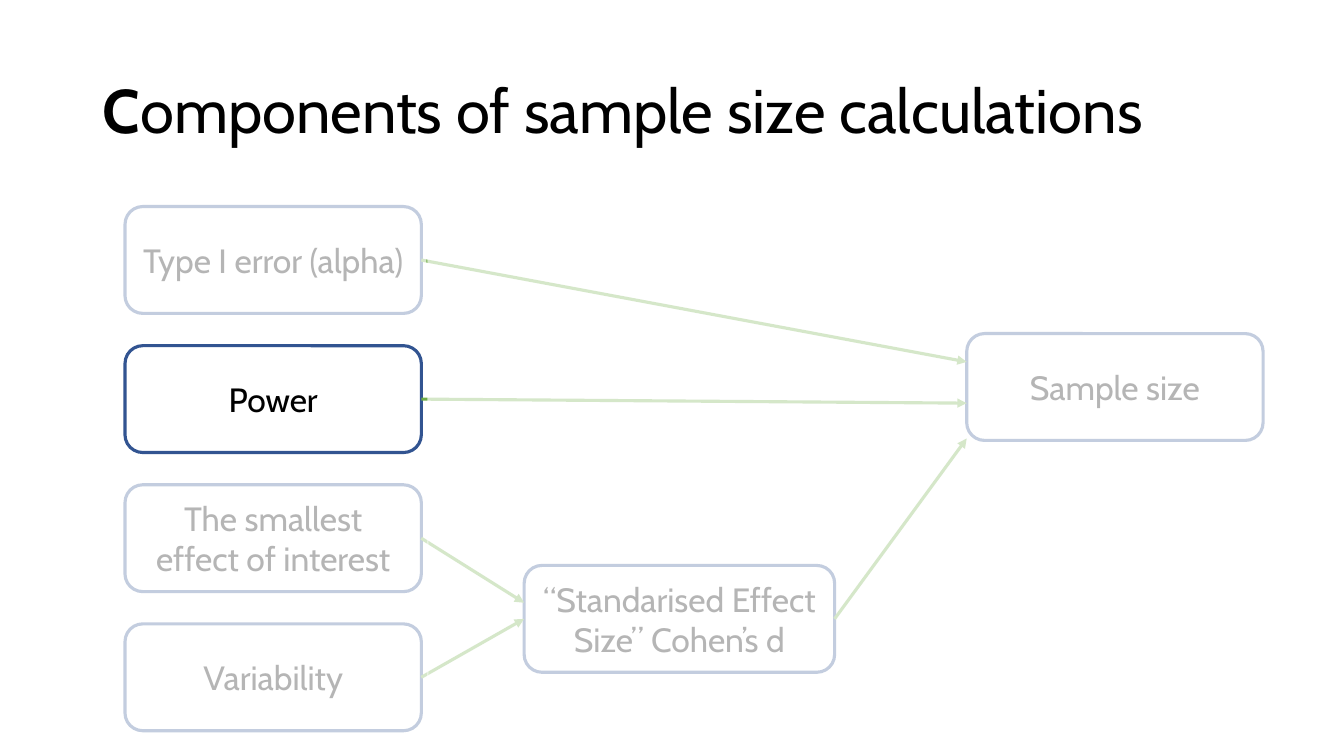
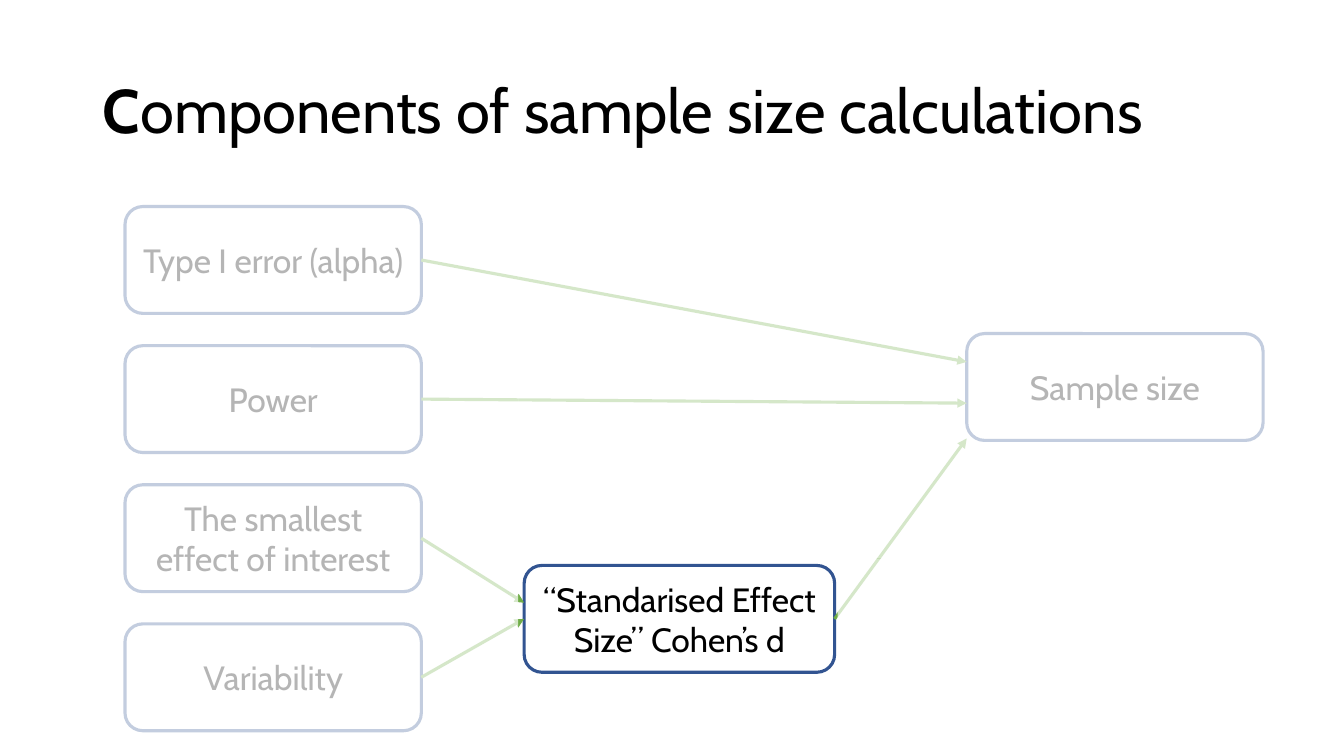
import pptx
import pptx.dml.color
import pptx.enum.shapes
import pptx.enum.text
import pptx.oxml.ns
import pptx.util
import lxml.etree

COLOURS = {"text": "000000", "box": "325491", "arrow": "70AD47", "veil": "FFFFFF"}
FONT = "Cabin"
SLIDE_WIDTH = pptx.util.Inches(13.333)
SLIDE_HEIGHT = pptx.util.Inches(7.5)
LINE_WIDTH = pptx.util.Pt(2.25)
RIGHT_SIDE, LEFT_SIDE = 3, 1

TITLE_AREA = (6.9, 5.33, 86.25, 19.33)
BOX_WIDTH, BOX_HEIGHT = 22.05, 14.13
INPUT_LEFT, INPUT_TOP, ROW_STEP = 9.3, 27.33, 18.4
EFFECT_LEFT, EFFECT_TOP, EFFECT_WIDTH = 39, 74.8, 23.1
RESULT_LEFT, RESULT_TOP = 71.93, 44.13
INPUTS = ["Type I error (alpha)", "Power", "The smallest effect of interest", "Variability"]

POWER_VEILS = [
    (31.8, 33.33, 64.73, 60.53),
    (7.35, 62, 24.53, 36.93),
    (7.2, 20.53, 24.53, 23.87),
]
EFFECT_VEILS = [
    (6.45, 24.27, 32.1, 75.73),
    (38.55, 26.4, 57.08, 47.47),
    (62.33, 73.87, 10.88, 15.07),
]


def across(percent):
    """Turn a percentage of the slide width into a length."""
    return int(SLIDE_WIDTH * percent / 100)


def down(percent):
    """Turn a percentage of the slide height into a length."""
    return int(SLIDE_HEIGHT * percent / 100)


def place(area):
    """Turn left, top, width and height percentages into lengths."""
    left, top, width, height = area
    return across(left), down(top), across(width), down(height)


def colour(name):
    """Look up a named colour."""
    return pptx.dml.color.RGBColor.from_string(COLOURS[name])


def append_element(parent, tag, **attributes):
    """Append a drawing element with attributes."""
    lxml.etree.SubElement(parent, pptx.oxml.ns.qn(tag), **attributes)


def format_run(run, size, bold=False):
    """Apply the shared font to a run."""
    run.font.name = FONT
    run.font.size = pptx.util.Pt(size)
    run.font.bold = bold
    run.font.color.rgb = colour("text")


def add_title(slide, initial, remainder):
    """Add the title with a bold initial letter."""
    text_frame = slide.shapes.add_textbox(*place(TITLE_AREA)).text_frame
    text_frame.word_wrap = True
    text_frame.vertical_anchor = pptx.enum.text.MSO_ANCHOR.MIDDLE
    paragraph = text_frame.paragraphs[0]
    paragraph.line_spacing = 0.9
    for text, bold in ((initial, True), (remainder, False)):
        run = paragraph.add_run()
        run.text = text
        format_run(run, 44, bold)


def add_box(slide, text, left, top, width=BOX_WIDTH):
    """Add an outlined rounded box with centred text."""
    shape = slide.shapes.add_shape(
        pptx.enum.shapes.MSO_SHAPE.ROUNDED_RECTANGLE, *place((left, top, width, BOX_HEIGHT)))
    shape.shadow.inherit = False
    shape.fill.background()
    shape.line.color.rgb = colour("box")
    shape.line.width = LINE_WIDTH
    text_frame = shape.text_frame
    text_frame.text = text
    text_frame.word_wrap = True
    text_frame.vertical_anchor = pptx.enum.text.MSO_ANCHOR.MIDDLE
    paragraph = text_frame.paragraphs[0]
    paragraph.alignment = pptx.enum.text.PP_ALIGN.CENTER
    format_run(paragraph.runs[0], 24)
    return shape


def add_arrow(slide, source, target, height=None):
    """Join two boxes, ending at a given height or at the middle of the target's left side."""
    start = (source.left + source.width, source.top + source.height // 2)
    end_y = target.top + target.height // 2 if height is None else down(height)
    connector = slide.shapes.add_connector(
        pptx.enum.shapes.MSO_CONNECTOR.STRAIGHT, *start, target.left, end_y)
    connector.begin_connect(source, RIGHT_SIDE)
    if height is None:
        connector.end_connect(target, LEFT_SIDE)
    connector.line.color.rgb = colour("arrow")
    connector.line.width = LINE_WIDTH
    append_element(connector.line._get_or_add_ln(), "a:tailEnd", type="triangle")
    append_element(connector._element.spPr, "a:effectLst")


def add_veil(slide, area):
    """Add a translucent rectangle that fades what lies beneath it."""
    shape = slide.shapes.add_shape(pptx.enum.shapes.MSO_SHAPE.RECTANGLE, *place(area))
    shape.shadow.inherit = False
    shape.line.fill.background()
    shape.fill.solid()
    shape.fill.fore_color.rgb = colour("veil")
    fill_colour = shape._element.spPr.find(".//" + pptx.oxml.ns.qn("a:srgbClr"))
    append_element(fill_colour, "a:alpha", val="71000")


def add_diagram(slide):
    """Add the boxes and arrows that lead to the sample size."""
    alpha, power, effect, variability = [
        add_box(slide, text, INPUT_LEFT, INPUT_TOP + row * ROW_STEP)
        for row, text in enumerate(INPUTS)]
    sample_size = add_box(slide, "Sample size", RESULT_LEFT, RESULT_TOP)
    standardised = add_box(
        slide, "“Standarised Effect Size” Cohen’s d", EFFECT_LEFT, EFFECT_TOP, EFFECT_WIDTH)
    add_arrow(slide, alpha, sample_size, 47.87)
    add_arrow(slide, variability, standardised)
    add_arrow(slide, effect, standardised, 79.73)
    add_arrow(slide, power, sample_size, 53.33)
    add_arrow(slide, standardised, sample_size, 58)


def main():
    """Build one slide for each highlighted component."""
    presentation = pptx.Presentation()
    presentation.slide_width = SLIDE_WIDTH
    presentation.slide_height = SLIDE_HEIGHT
    for veils in (POWER_VEILS, EFFECT_VEILS):
        slide = presentation.slides.add_slide(presentation.slide_layouts[6])
        add_title(slide, "C", "omponents of sample size calculations")
        add_diagram(slide)
        for area in veils:
            add_veil(slide, area)
    presentation.save("out.pptx")


if __name__ == "__main__":
    main()
